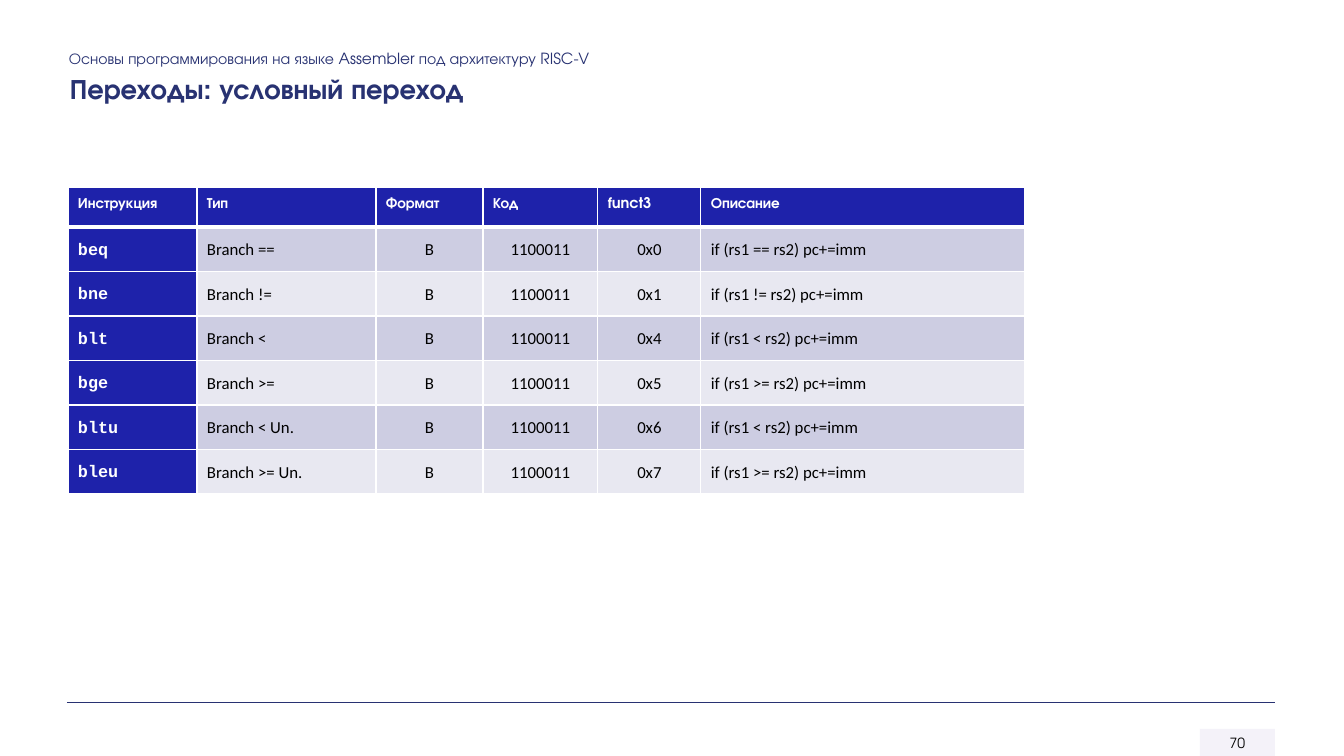
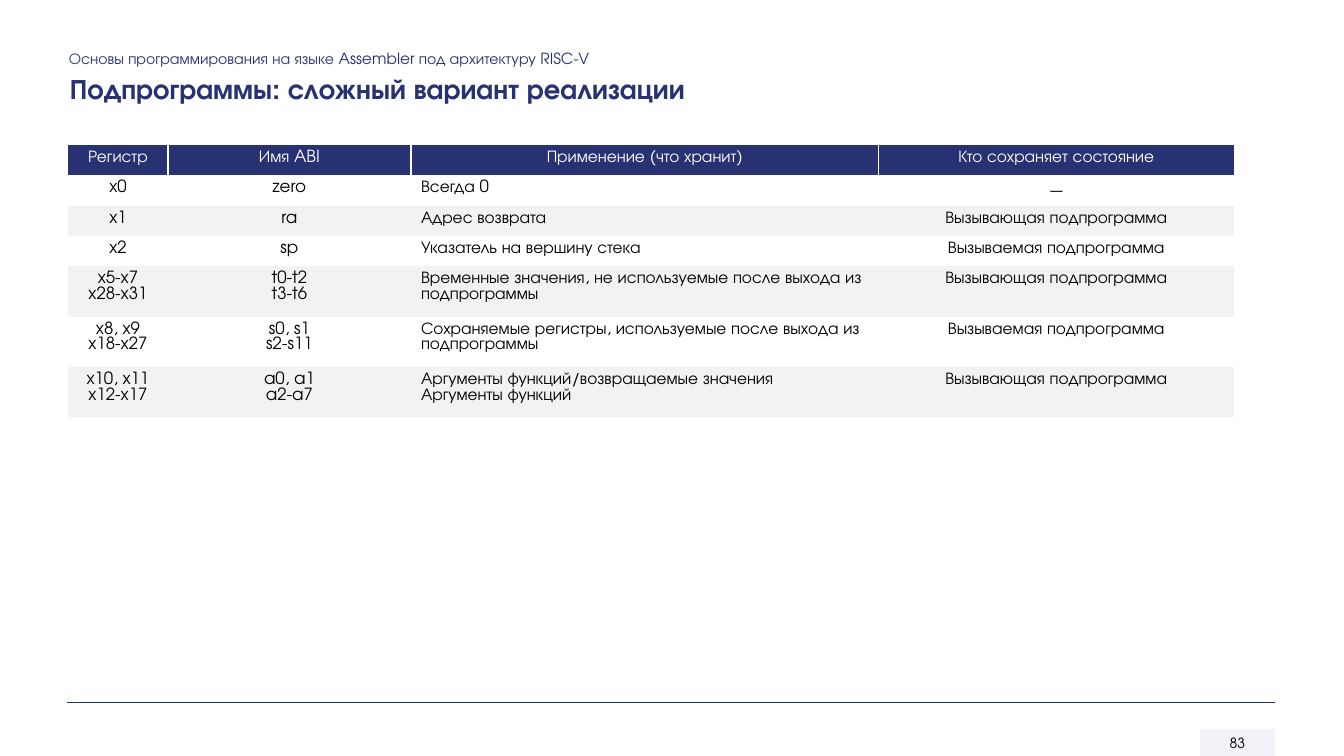
from lxml.etree import SubElement
from pptx import Presentation
from pptx.dml.color import RGBColor
from pptx.enum.shapes import MSO_CONNECTOR, MSO_SHAPE
from pptx.enum.text import MSO_ANCHOR, PP_ALIGN
from pptx.oxml.ns import qn
from pptx.util import Emu, Pt

NAVY = RGBColor(0x28, 0x32, 0x72)
BLUE = RGBColor(0x1E, 0x22, 0xAA)
LILAC = RGBColor(0xCD, 0xCD, 0xE2)
PALE_LILAC = RGBColor(0xE8, 0xE8, 0xF1)
PAGE_FILL = RGBColor(0xF3, 0xF1, 0xF9)
GREY = RGBColor(0xF2, 0xF2, 0xF2)
WHITE = RGBColor(0xFF, 0xFF, 0xFF)
BLACK = RGBColor(0, 0, 0)

MAIN, BODY, CODE = "TeX Gyre Adventor", "Calibri", "Courier New"
PLAIN_TABLE = "{2D5ABB26-0587-4C30-8999-92F81FD0307C}"
LEFT, CENTER = PP_ALIGN.LEFT, PP_ALIGN.CENTER

COURSE = "Основы программирования на языке Assembler под архитектуру RISC-V"

BRANCH_HEAD = ["Инструкция", "Тип", "Формат", "Код", "funct3", "Описание"]
BRANCHES = [
    ("beq", "Branch ==", "0x0", "if (rs1 == rs2) pc+=imm"),
    ("bne", "Branch !=", "0x1", "if (rs1 != rs2) pc+=imm"),
    ("blt", "Branch <", "0x4", "if (rs1 < rs2) pc+=imm"),
    ("bge", "Branch >=", "0x5", "if (rs1 >= rs2) pc+=imm"),
    ("bltu", "Branch < Un.", "0x6", "if (rs1 < rs2) pc+=imm"),
    ("bleu", "Branch >= Un.", "0x7", "if (rs1 >= rs2) pc+=imm"),
]
BRANCH_WIDTHS = [129, 179, 107, 115, 103, 324]
BRANCH_ALIGNS = [LEFT, LEFT, CENTER, CENTER, CENTER, LEFT]

CALLER, CALLEE = "Вызывающая подпрограмма", "Вызываемая подпрограмма"
REGISTERS = [
    ("Регистр", "Имя ABI", "Применение (что хранит)", "Кто сохраняет состояние"),
    ("x0", "zero", "Всегда 0", "—"),
    ("x1", "ra", "Адрес возврата", CALLER),
    ("x2", "sp", "Указатель на вершину стека", CALLEE),
    ("x5-x7\nx28-x31", "t0-t2\nt3-t6",
     "Временные значения, не используемые после выхода из подпрограммы", CALLER),
    ("x8, x9\nx18-x27", "s0, s1\ns2-s11",
     "Сохраняемые регистры, используемые после выхода из подпрограммы", CALLEE),
    ("x10, x11\nx12-x17", "a0, a1\na2-a7",
     "Аргументы функций/возвращаемые значения\nАргументы функций", CALLER),
]
REGISTER_WIDTHS = [100, 243, 468, 355]


def px(n):
    return Emu(round(n * 914400 / 100.8))


def style(p, size, color, font=MAIN, bold=False, align=LEFT):
    p.alignment = align
    p.font.size = Pt(size)
    p.font.name = font
    p.font.bold = bold
    p.font.color.rgb = color


def add_text(s, left, top, height, text, size, bold=False):
    tf = s.shapes.add_textbox(px(left), px(top), px(1032), px(height)).text_frame
    tf.word_wrap = True
    p = tf.paragraphs[0]
    p.text = text
    style(p, size, NAVY, bold=bold)


def add_slide(prs, title, number):
    s = prs.slides.add_slide(prs.slide_layouts[6])
    page = s.shapes.add_shape(MSO_SHAPE.RECTANGLE, px(1200), px(729), px(75), px(27))
    page.shadow.inherit = False
    page.line.fill.background()
    page.fill.solid()
    page.fill.fore_color.rgb = PAGE_FILL
    color = page._element.spPr.find(".//" + qn("a:srgbClr"))
    SubElement(color, qn("a:alpha"), val="90000")
    page.text_frame.vertical_anchor = MSO_ANCHOR.MIDDLE
    p = page.text_frame.paragraphs[0]
    p.text = str(number)
    style(p, 10, BLACK, align=CENTER)

    rule = s.shapes.add_connector(MSO_CONNECTOR.STRAIGHT, px(67), px(703), px(1275), px(703))
    rule.line.color.rgb = NAVY
    rule.line.width = Pt(0.75)
    SubElement(rule._element.spPr, qn("a:effectLst"))

    add_text(s, 59, 44, 29, COURSE, 11)
    add_text(s, 60, 67, 44, title, 20, bold=True)
    return s


def add_table(s, top, widths, heights):
    frame = s.shapes.add_table(len(heights), len(widths), px(68), px(top),
                               px(sum(widths)), px(sum(heights)))
    table = frame.table
    table.first_row = table.horz_banding = False
    table._tbl.tblPr[0].text = PLAIN_TABLE
    for col, width in zip(table.columns, widths):
        col.width = px(width)
    for row, height in zip(table.rows, heights):
        row.height = px(height)
    return table


def set_borders(cell, **widths):
    tcPr = cell._tc.get_or_add_tcPr()
    for side, width in widths.items():
        ln = SubElement(tcPr, qn("a:ln" + side), w=str(Pt(width)))
        SubElement(SubElement(ln, qn("a:solidFill")), qn("a:srgbClr"), val=str(WHITE))


def set_fill(cell, color):
    cell.fill.solid()
    cell.fill.fore_color.rgb = color


def build_branches(prs):
    s = add_slide(prs, "Переходы: условный переход", 70)
    rows = [BRANCH_HEAD] + [(name, kind, "B", "1100011", funct3, text)
                            for name, kind, funct3, text in BRANCHES]
    heights = [40] + [267 / len(BRANCHES)] * len(BRANCHES)
    table = add_table(s, 187, BRANCH_WIDTHS, heights)
    for i, row in enumerate(rows):
        for j, text in enumerate(row):
            cell = table.cell(i, j)
            cell.text = text
            cell.margin_left = cell.margin_right = px(10)
            cell.margin_top = cell.margin_bottom = px(10)
            set_borders(cell, L=1, R=1, T=3 if i == 1 else 1, B=3 if i == 0 else 1)
            band = LILAC if i % 2 else PALE_LILAC
            set_fill(cell, BLUE if i == 0 or j == 0 else band)
            p = cell.text_frame.paragraphs[0]
            p.space_after = Pt(8)
            p.line_spacing = Pt(16.8) if i else 1.07
            if i == 0:
                style(p, 10.5, WHITE, bold=True)
            elif j == 0:
                style(p, 12, WHITE, CODE, bold=True)
            else:
                style(p, 12, BLACK, BODY, align=BRANCH_ALIGNS[j])


def build_registers(prs):
    s = add_slide(prs, "Подпрограммы: сложный вариант реализации", 83)
    weights = [row[0].count("\n") + 1.5 for row in REGISTERS]
    heights = [272 * w / sum(weights) for w in weights]
    table = add_table(s, 145, REGISTER_WIDTHS, heights)
    for i, row in enumerate(REGISTERS):
        for j, text in enumerate(row):
            cell = table.cell(i, j)
            cell.text = text
            if i == 0:
                if j > 0:
                    set_borders(cell, L=1)
                if j < len(row) - 1:
                    set_borders(cell, R=1)
                set_fill(cell, NAVY)
            elif i % 2 == 0:
                set_fill(cell, GREY)
            for p in cell.text_frame.paragraphs:
                style(p, 12, BLACK if i else WHITE, BODY if text == "—" else MAIN,
                      align=LEFT if i and j == 2 else CENTER)


def main():
    prs = Presentation()
    prs.slide_width, prs.slide_height = px(1344), px(756)
    build_branches(prs)
    build_registers(prs)
    prs.save("out.pptx")


if __name__ == "__main__":
    main()
